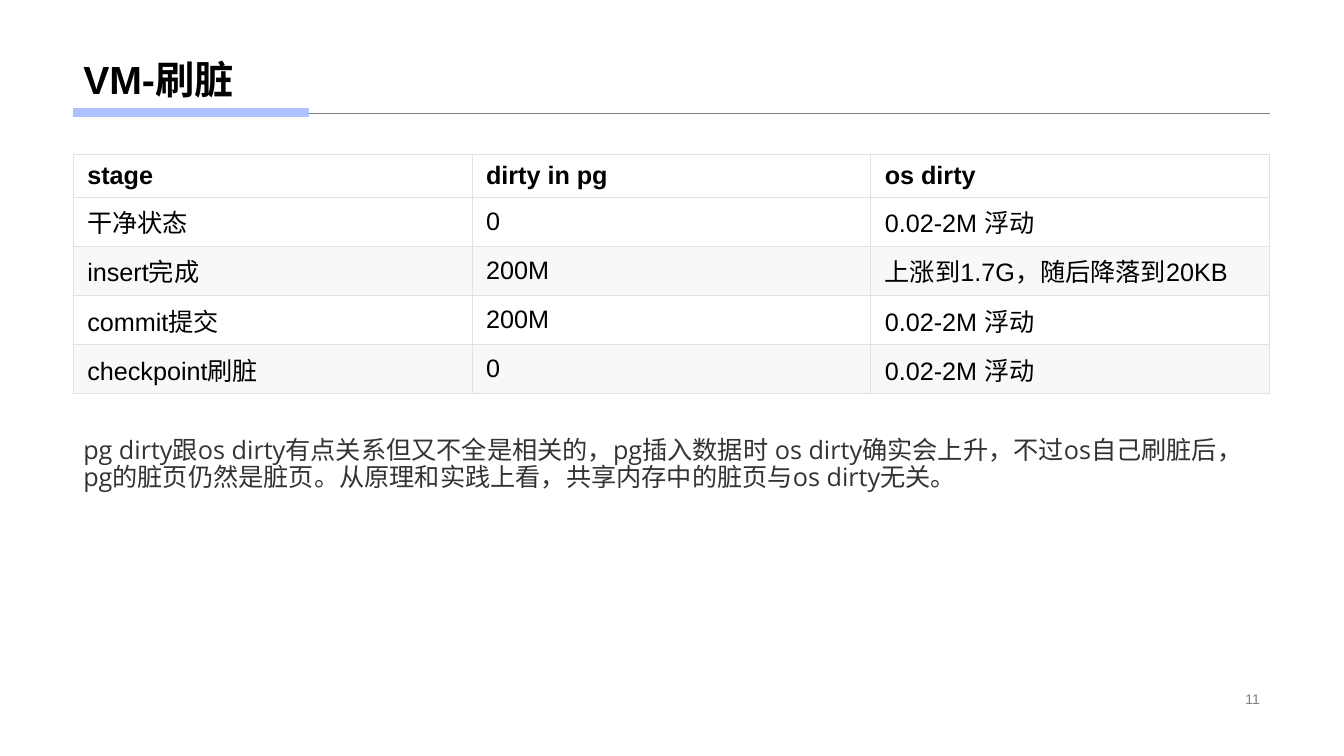
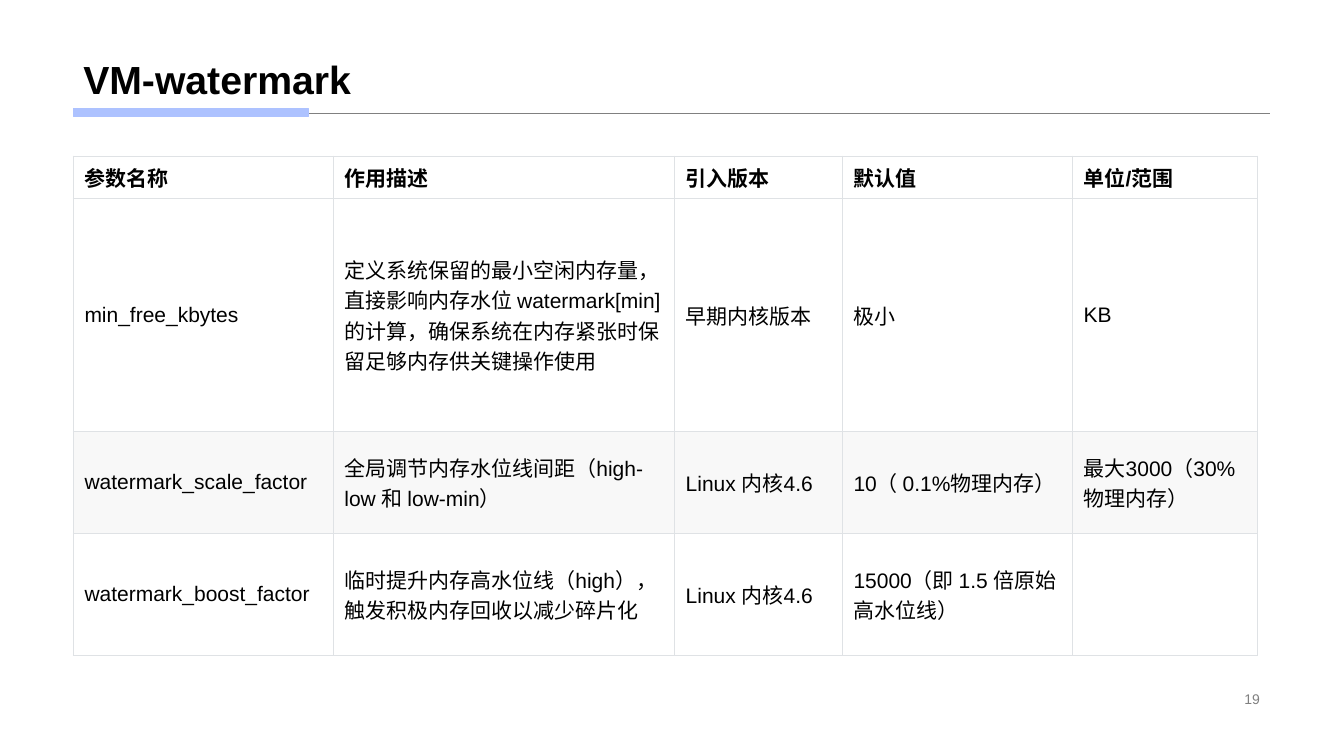
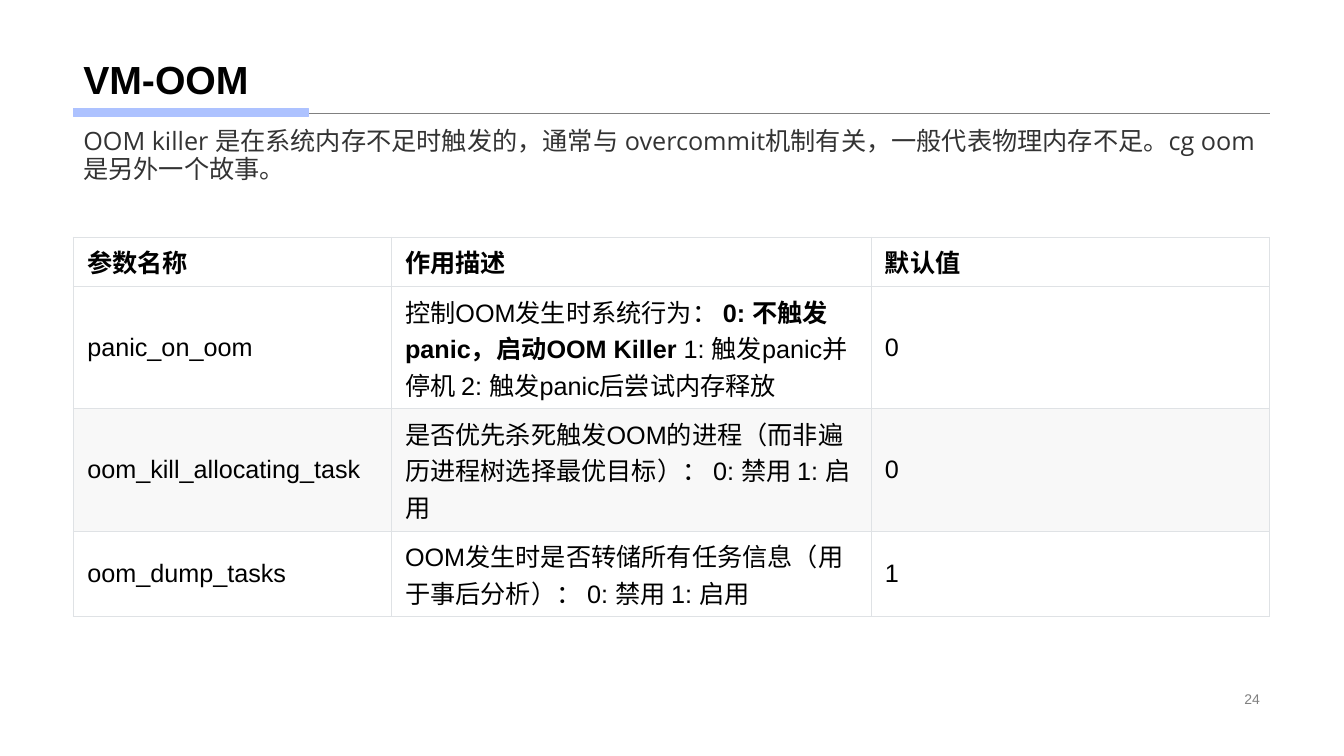
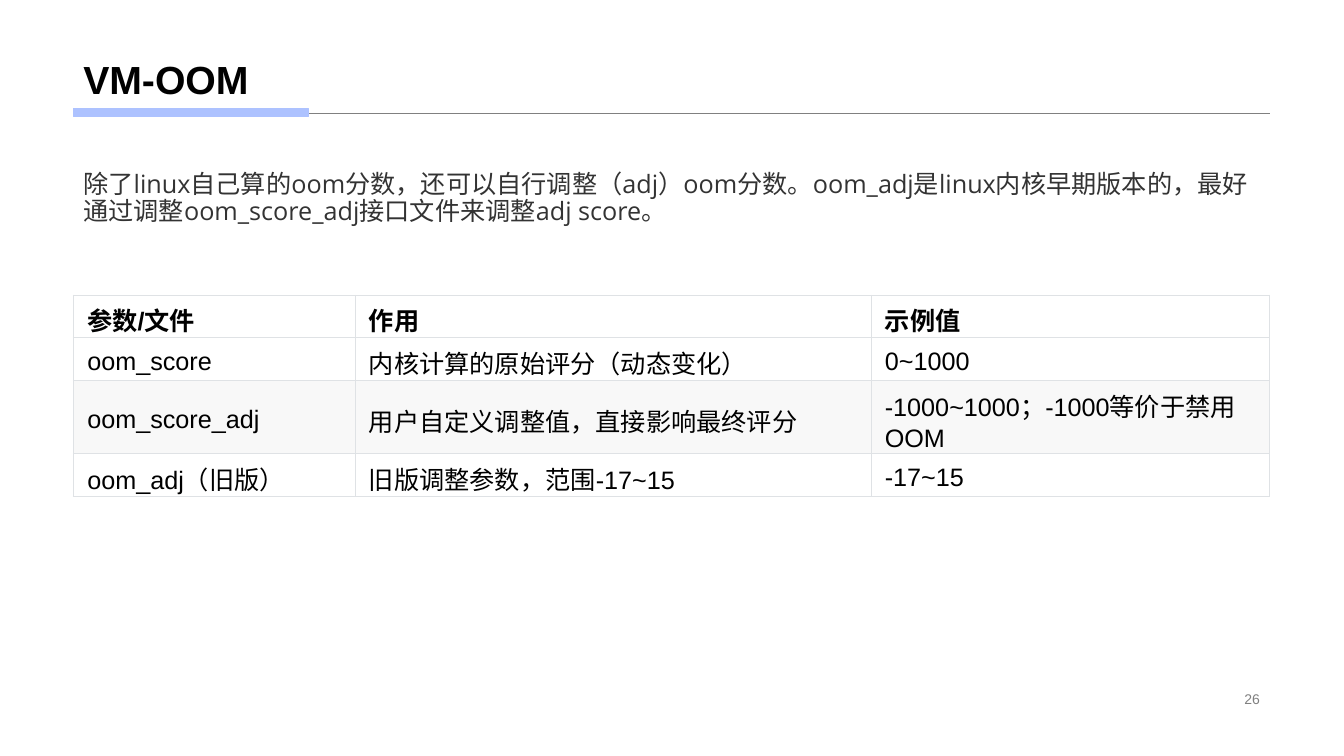
import pptx
import pptx.dml.color
import pptx.enum.shapes
import pptx.enum.text
import pptx.oxml
import pptx.oxml.ns
import pptx.util
from lxml import etree

Cm = pptx.util.Cm
Pt = pptx.util.Pt
RGBColor = pptx.dml.color.RGBColor
Anchor = pptx.enum.text.MSO_ANCHOR
Align = pptx.enum.text.PP_ALIGN
qn = pptx.oxml.ns.qn

# Shared style
BLACK = RGBColor(0x00, 0x00, 0x00)
BODY_GREY = RGBColor(0x33, 0x33, 0x33)
RULE_GREY = RGBColor(0x80, 0x80, 0x80)
ACCENT = RGBColor(0xAD, 0xC2, 0xFF)
BAND = RGBColor(0xF8, 0xF8, 0xF8)
BORDER = RGBColor(0xDF, 0xE2, 0xE5)
LEFT, WIDTH = 1.85, 30.15


def write_text(frame, text, size=18, font="Arial", color=BLACK, bold=False,
               align=None, spacing=None, east_asian=None):
    """Fill a frame's paragraph; text is a string or a list of (string, bold)."""
    frame.word_wrap = True
    paragraph = frame.paragraphs[0]
    if align is not None:
        paragraph.alignment = align
    if spacing is not None:
        paragraph.line_spacing = spacing
    pieces = [(text, bold)] if isinstance(text, str) else text
    for words, is_bold in pieces:
        run = paragraph.add_run()
        run.text = words
        run.font.name = font
        run.font.size = Pt(size)
        run.font.bold = is_bold
        run.font.color.rgb = color
        if east_asian:
            latin = run.font._element.find(qn("a:latin"))
            ea = etree.Element(qn("a:ea"), typeface=east_asian)
            latin.addnext(ea)


def set_borders(cell):
    """Draw a thin line on all four sides of a cell."""
    properties = cell._tc.get_or_add_tcPr()
    for position, side in enumerate(("a:lnL", "a:lnR", "a:lnT", "a:lnB")):
        line = etree.Element(qn(side), w=str(Pt(0.75)))
        fill = etree.SubElement(line, qn("a:solidFill"))
        etree.SubElement(fill, qn("a:srgbClr"), val=str(BORDER))
        properties.insert(position, line)


class Deck:
    def __init__(self):
        self.presentation = pptx.Presentation()
        self.presentation.slide_width = Cm(33.87)
        self.presentation.slide_height = Cm(19.05)
        self.slide = None

    def start_slide(self, title, number):
        """Add a slide with its title, rule, accent bar and page number."""
        blank = self.presentation.slide_layouts[6]
        self.slide = self.presentation.slides.add_slide(blank)
        self.rule(2.86)
        self.accent_bar(2.74)
        self.text(title, LEFT, 1.09, WIDTH, 1.63, anchor=Anchor.BOTTOM,
                  size=28, bold=True, spacing=0.9)
        self.text(str(number), 23.93, 17.32, 8.07, 0.58, anchor=Anchor.MIDDLE,
                  size=10, color=RULE_GREY, align=Align.RIGHT)

    def rule(self, top):
        rule = self.slide.shapes.add_connector(
            pptx.enum.shapes.MSO_CONNECTOR.STRAIGHT,
            Cm(LEFT), Cm(top), Cm(LEFT + WIDTH), Cm(top))
        rule.line.color.rgb = RULE_GREY
        rule.line.width = Pt(0.25)
        etree.SubElement(rule._element.spPr, qn("a:effectLst"))

    def accent_bar(self, top):
        bar = self.slide.shapes.add_shape(
            pptx.enum.shapes.MSO_SHAPE.RECTANGLE,
            Cm(LEFT), Cm(top), Cm(5.92), Cm(0.2))
        bar.shadow.inherit = False
        bar.fill.solid()
        bar.fill.fore_color.rgb = ACCENT
        bar.line.color.rgb = ACCENT
        bar.line.width = Pt(1)

    def text(self, words, left, top, width, height, anchor=Anchor.TOP, **style):
        frame = self.slide.shapes.add_textbox(
            Cm(left), Cm(top), Cm(width), Cm(height)).text_frame
        frame.vertical_anchor = anchor
        write_text(frame, words, **style)

    def body(self, words, top):
        self.text(words, LEFT, top, WIDTH, 1.8, font="Open Sans",
                  east_asian="Open Sans", color=BODY_GREY, spacing=0.9)

    def table(self, rows, top, widths, heights, size=18, side=0.35,
              inset=0.16, bottom=None):
        """Draw a table with a bold header and every second body row shaded."""
        table = self.slide.shapes.add_table(
            len(rows), len(widths), Cm(LEFT), Cm(top),
            Cm(sum(widths)), Cm(sum(heights))).table
        table.first_row = table.horz_banding = False
        for column, width in zip(table.columns, widths):
            column.width = Cm(width)
        for r, (values, height) in enumerate(zip(rows, heights)):
            table.rows[r].height = Cm(height)
            for c, value in enumerate(values):
                cell = table.cell(r, c)
                cell.margin_left = cell.margin_right = Cm(side)
                cell.margin_top = Cm(inset)
                cell.margin_bottom = Cm(inset if bottom is None else bottom)
                cell.vertical_anchor = Anchor.MIDDLE
                if r and r % 2 == 0:
                    cell.fill.solid()
                    cell.fill.fore_color.rgb = BAND
                else:
                    cell.fill.background()
                set_borders(cell)
                if value:
                    write_text(cell.text_frame, value, size=size, bold=r == 0)


def main():
    deck = Deck()

    # Dirty pages at each stage
    deck.start_slide("VM-刷脏", 11)
    deck.table([
        ["stage", "dirty in pg", "os dirty"],
        ["干净状态", "0", "0.02-2M 浮动"],
        ["insert完成", "200M", "上涨到1.7G，随后降落到20KB"],
        ["commit提交", "200M", "0.02-2M 浮动"],
        ["checkpoint刷脏", "0", "0.02-2M 浮动"],
    ], 3.88, [WIDTH / 3] * 3, [1.04] + [1.24] * 4)
    deck.body("pg dirty跟os dirty有点关系但又不全是相关的，pg插入数据时 os dirty确实会上升，"
              "不过os自己刷脏后，pg的脏页仍然是脏页。从原理和实践上看，"
              "共享内存中的脏页与os dirty无关。", 10.9)

    # Watermark parameters
    deck.start_slide("VM-watermark", 19)
    deck.table([
        ["参数名称", "作用描述", "引入版本", "默认值", "单位/范围"],
        ["min_free_kbytes",
         "定义系统保留的最小空闲内存量，直接影响内存水位 watermark[min] 的计算，"
         "确保系统在内存紧张时保留足够内存供关键操作使用",
         "早期内核版本", "极小", "KB"],
        ["watermark_scale_factor", "全局调节内存水位线间距（high-low 和 low-min）",
         "Linux 内核4.6", "10（ 0.1%物理内存）", "最大3000（30%物理内存）"],
        ["watermark_boost_factor", "临时提升内存高水位线（high），触发积极内存回收以减少碎片化",
         "Linux 内核4.6", "15000（即 1.5 倍原始高水位线）", ""],
    ], 3.93, [6.55, 8.6, 4.23, 5.8, 4.66], [1.06, 5.89, 2.56, 3.08],
        size=15, side=0.28, inset=0.13)

    # OOM parameters
    deck.start_slide("VM-OOM", 24)
    deck.table([
        ["参数名称", "作用描述", "默认值"],
        ["panic_on_oom",
         [("控制OOM发生时系统行为： ", False),
          ("0: 不触发panic，启动OOM Killer", True),
          (" 1: 触发panic并停机 2: 触发panic后尝试内存释放", False)], "0"],
        ["oom_kill_allocating_task",
         "是否优先杀死触发OOM的进程（而非遍历进程树选择最优目标）： 0: 禁用 1: 启用", "0"],
        ["oom_dump_tasks",
         "OOM发生时是否转储所有任务信息（用于事后分析）： 0: 禁用 1: 启用", "1"],
    ], 5.98, [8.01, 12.09, 10.05], [1.24, 3.08, 3.08, 2.16])
    deck.body("OOM killer 是在系统内存不足时触发的，通常与 overcommit机制有关，"
              "一般代表物理内存不足。cg oom是另外一个故事。", 3.13)

    # OOM score adjustment
    deck.start_slide("VM-OOM", 26)
    deck.body("除了linux自己算的oom分数，还可以自行调整（adj）oom分数。"
              "oom_adj是linux内核早期版本的，"
              "最好通过调整oom_score_adj接口文件来调整adj score。", 4.2)
    deck.table([
        ["参数/文件", "作用", "示例值"],
        ["oom_score", "内核计算的原始评分（动态变化）", "0~1000"],
        ["oom_score_adj", "用户自定义调整值，直接影响最终评分",
         "-1000~1000；-1000等价于禁用OOM"],
        ["oom_adj（旧版）", "旧版调整参数，范围-17~15", "-17~15"],
    ], 7.44, [7.1, 13, 10.05], [1.07, 1.07, 1.85, 1.07], bottom=0)

    deck.presentation.save("out.pptx")


if __name__ == "__main__":
    main()
